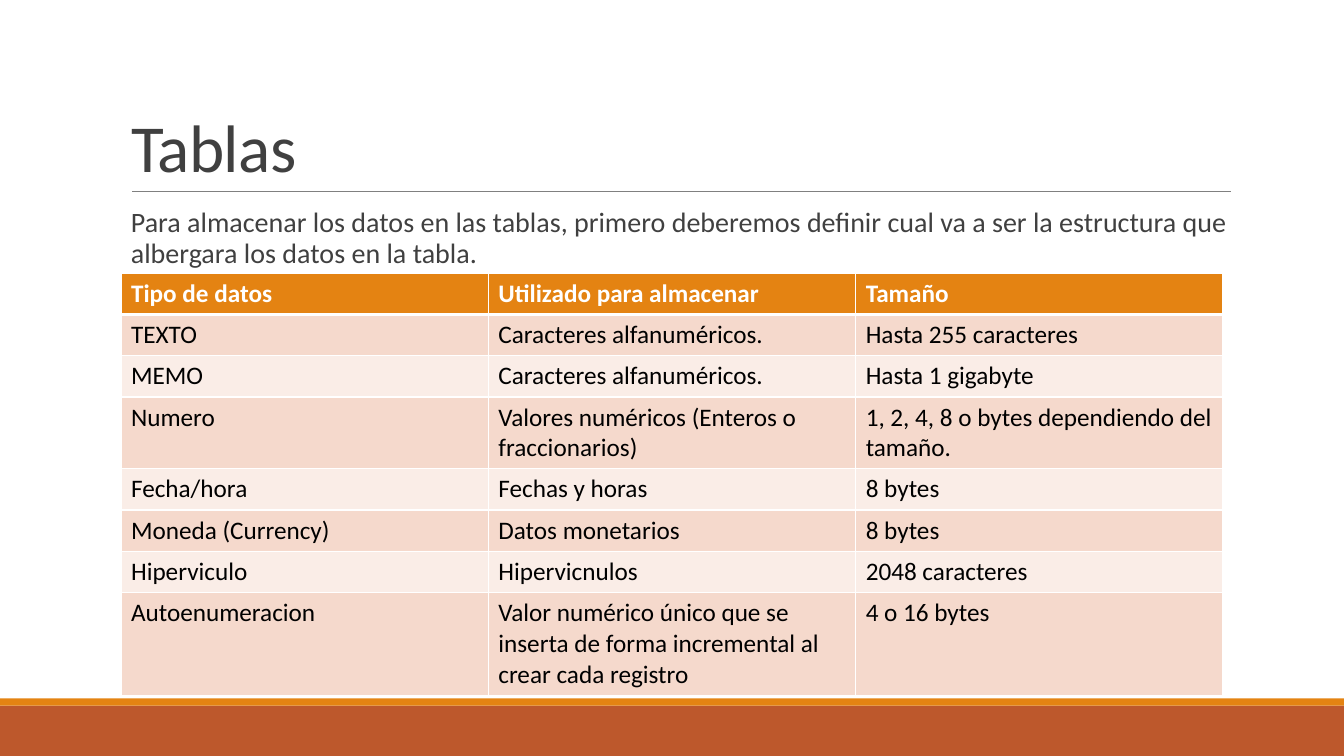
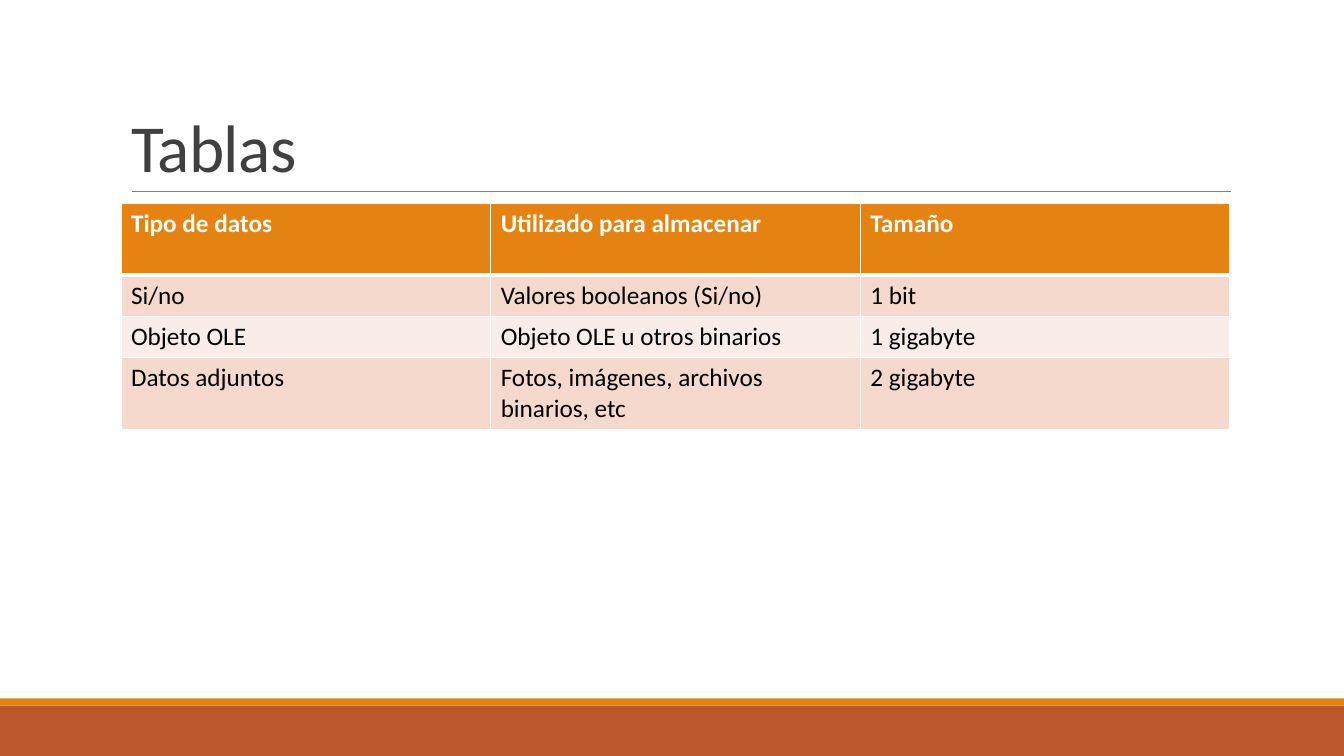
from lxml.etree import SubElement
from pptx import Presentation
from pptx.dml.color import RGBColor
from pptx.enum.shapes import MSO_CONNECTOR, MSO_SHAPE
from pptx.enum.text import MSO_ANCHOR, MSO_AUTO_SIZE, PP_ALIGN
from pptx.oxml import parse_xml
from pptx.oxml.ns import nsdecls, qn
from pptx.util import Inches, Pt

FONT = "Calibri"
COLORS = {
    "white": "FFFFFF",
    "black": "000000",
    "text": "404040",
    "rule": "808080",
    "orange": "E48312",
    "rust": "BD582C",
    "odd_row": "F5D9CC",
    "even_row": "FAEDE7",
}
TITLE_ONLY = 5
SLIDE_WIDTH, SLIDE_HEIGHT = 13.33, 7.5
LEFT, CONTENT_TOP, CONTENT_WIDTH = 1.2, 2.02, 11
ROW_HEIGHTS = {1: 0.41, 2: 0.71, 3: 1.02}  # by number of text lines
HEADER = ("Tipo de datos", "Utilizado para almacenar", "Tamaño")

BASIC_TYPES = [
    ("TEXTO", "Caracteres alfanuméricos.", "Hasta 255 caracteres"),
    ("MEMO", "Caracteres alfanuméricos.", "Hasta 1 gigabyte"),
    ("Numero", "Valores numéricos (Enteros o fraccionarios)",
     "1, 2, 4, 8 o bytes dependiendo del tamaño."),
    ("Fecha/hora", "Fechas y horas", "8 bytes"),
    ("Moneda (Currency)", "Datos monetarios", "8 bytes"),
    ("Hiperviculo", "Hipervicnulos", "2048 caracteres"),
    ("Autoenumeracion",
     "Valor numérico único que se inserta de forma incremental al crear cada registro",
     "4 o 16 bytes"),
]
OTHER_TYPES = [
    ("Si/no", "Valores booleanos (Si/no)", "1 bit"),
    ("Objeto OLE", "Objeto OLE u otros binarios", "1 gigabyte"),
    ("Datos adjuntos", "Fotos, imágenes, archivos binarios, etc", "2 gigabyte"),
]


def color(name):
    return RGBColor.from_string(COLORS[name])


def set_borders(cell, top, bottom):
    """Draw white cell borders; top and bottom are widths in points."""
    properties = cell._tc.get_or_add_tcPr()
    widths = {"lnL": 1, "lnR": 1, "lnT": top, "lnB": bottom}
    for position, (side, width) in enumerate(widths.items()):
        properties.insert(position, parse_xml(
            f'<a:{side} {nsdecls("a")} w="{Pt(width)}"><a:solidFill>'
            f'<a:srgbClr val="{COLORS["white"]}"/></a:solidFill></a:{side}>'))


class Deck:
    def __init__(self):
        self.presentation = Presentation()
        self.presentation.slide_width = Inches(SLIDE_WIDTH)
        self.presentation.slide_height = Inches(SLIDE_HEIGHT)
        self.slide = None

    def add_slide(self, title):
        layout = self.presentation.slide_layouts[TITLE_ONLY]
        self.slide = self.presentation.slides.add_slide(layout)
        self.band(7, 0.5, "rust")
        self.band(6.93, 0.07, "orange")
        self.rule(1.31, 12.21, 1.9)
        self.title(title)

    def band(self, top, height, fill):
        shape = self.slide.shapes.add_shape(
            MSO_SHAPE.RECTANGLE, 0, Inches(top), Inches(SLIDE_WIDTH), Inches(height))
        shape.shadow.inherit = False
        shape.fill.solid()
        shape.fill.fore_color.rgb = color(fill)
        shape.line.fill.background()

    def rule(self, left, right, top):
        connector = self.slide.shapes.add_connector(
            MSO_CONNECTOR.STRAIGHT, Inches(left), Inches(top), Inches(right), Inches(top))
        connector.line.color.rgb = color("rule")
        connector.line.width = Pt(0.5)
        SubElement(connector.element.spPr, qn("a:effectLst"))

    def style(self, paragraph, size, font_color, bold=False, line_spacing=1.0):
        paragraph.alignment = PP_ALIGN.LEFT
        paragraph.line_spacing = line_spacing
        for run in paragraph.runs:
            run.font.name = FONT
            run.font.size = Pt(size)
            run.font.bold = bold
            run.font.color.rgb = color(font_color)

    def title(self, text):
        shape = self.slide.shapes.title
        shape.left, shape.top = Inches(LEFT), Inches(0.31)
        shape.width, shape.height = Inches(CONTENT_WIDTH), Inches(1.59)
        frame = shape.text_frame
        frame.text = text
        frame.auto_size = MSO_AUTO_SIZE.NONE
        frame.vertical_anchor = MSO_ANCHOR.BOTTOM
        self.style(frame.paragraphs[0], 48, "text", line_spacing=0.85)
        for properties in shape.element.iter(qn("a:rPr")):
            properties.set("spc", "-50")

    def body(self, text):
        shape = self.slide.shapes.add_textbox(
            Inches(LEFT), Inches(CONTENT_TOP), Inches(CONTENT_WIDTH), Inches(0.69))
        frame = shape.text_frame
        frame.word_wrap = True
        frame.margin_left, frame.margin_right = Inches(0.1), 0
        frame.text = text
        self.style(frame.paragraphs[0], 20, "text", line_spacing=0.9)

    def table(self, top, width, rows, line_counts):
        """Add a table under HEADER; line_counts gives the text lines of each row."""
        heights = [ROW_HEIGHTS[count] for count in line_counts]
        table = self.slide.shapes.add_table(
            len(heights), len(HEADER), Inches(LEFT), Inches(top),
            Inches(width), Inches(sum(heights))).table
        table.horz_banding = False
        for column in table.columns:
            column.width = Inches(width / len(HEADER))
        for index, values in enumerate([HEADER, *rows]):
            table.rows[index].height = Inches(heights[index])
            is_header = index == 0
            fill = "orange" if is_header else "odd_row" if index % 2 else "even_row"
            for cell, value in zip(table.rows[index].cells, values):
                cell.text = value
                cell.fill.solid()
                cell.fill.fore_color.rgb = color(fill)
                set_borders(cell, top=3 if index == 1 else 1, bottom=3 if is_header else 1)
                self.style(cell.text_frame.paragraphs[0], 18,
                           "white" if is_header else "black", bold=is_header)


def main():
    deck = Deck()

    deck.add_slide("Tablas")
    deck.body("Para almacenar los datos en las tablas, primero deberemos definir "
              "cual va a ser la estructura que albergara los datos en la tabla.")
    deck.table(2.71, 10.93, BASIC_TYPES, [1, 1, 1, 2, 1, 1, 1, 3])

    deck.add_slide("Tablas")
    deck.table(CONTENT_TOP, CONTENT_WIDTH, OTHER_TYPES, [2, 1, 1, 2])

    deck.presentation.save("out.pptx")


if __name__ == "__main__":
    main()
